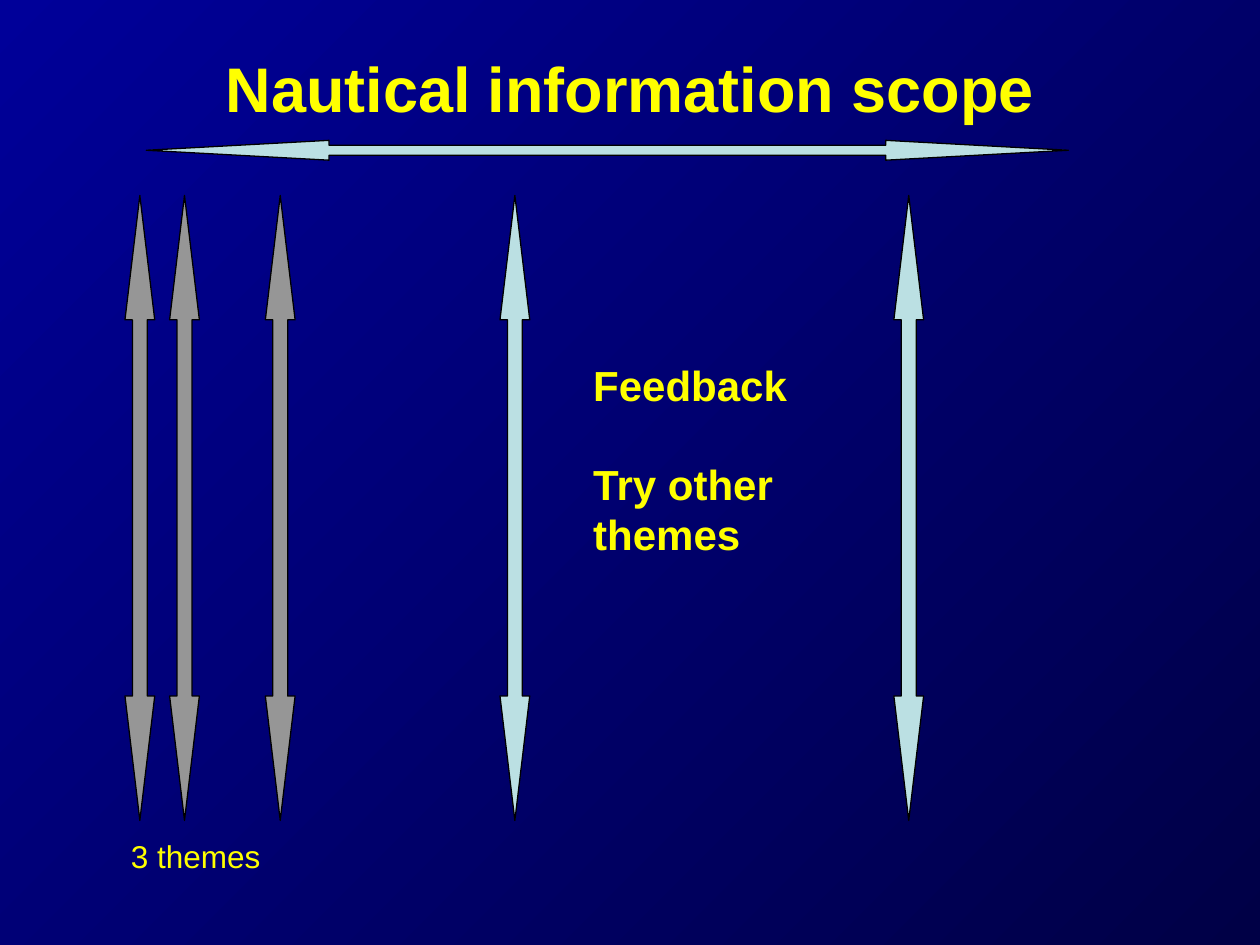
from lxml import etree
from pptx import Presentation
from pptx.dml.color import RGBColor
from pptx.enum.shapes import MSO_SHAPE
from pptx.enum.text import MSO_ANCHOR, MSO_AUTO_SIZE, PP_ALIGN
from pptx.oxml.ns import qn
from pptx.util import Cm, Pt

WIDE = MSO_SHAPE.LEFT_RIGHT_ARROW
TALL = MSO_SHAPE.UP_DOWN_ARROW
MIDDLE = MSO_ANCHOR.MIDDLE
CENTER = PP_ALIGN.CENTER
FIT = MSO_AUTO_SIZE.SHAPE_TO_FIT_TEXT
FIXED = MSO_AUTO_SIZE.NONE

YELLOW = "FFFF00"
PALE = "BBE0E3"
GREY = "969696"
BLACK = "000000"
NAVY = "000046"
BLUE = "000099"


def color(code):
    return RGBColor.from_string(code)


def paint(slide):
    fill = slide.background.fill
    fill.gradient()
    fill.gradient_angle = 135
    for stop, code in zip(fill.gradient_stops, (NAVY, BLUE)):
        stop.color.rgb = color(code)


def write(frame, text, size, bold):
    frame.word_wrap = True
    frame.text = text
    line = frame.paragraphs[0]
    line.font.name = "Arial"
    line.font.size = Pt(size)
    line.font.bold = bold
    line.font.color.rgb = color(YELLOW)
    return line


def head(slide, text):
    title = slide.shapes.title
    title.left, title.top = Cm(1.27), Cm(0.48)
    title.width, title.height = Cm(22.86), Cm(2.57)
    frame = title.text_frame
    frame.auto_size = FIXED
    frame.vertical_anchor = MIDDLE
    write(frame, text, 36, True).alignment = CENTER


def label(slide, text, box, size, bold):
    frame = slide.shapes.add_textbox(*map(Cm, box)).text_frame
    frame.auto_size = FIT
    write(frame, text, size, bold)


def adjust(shape, shaft, tip):
    guides = next(shape.element.iter(qn("a:avLst")))
    for guide in list(guides):
        guides.remove(guide)
    for name, value in (("adj1", shaft), ("adj2", tip)):
        ratio = round(value * 100000)
        etree.SubElement(guides, qn("a:gd"), name=name, fmla=f"val {ratio}")


def arrow(slide, kind, box, tip, code):
    shape = slide.shapes.add_shape(kind, *map(Cm, box))
    adjust(shape, 0.5, tip)
    shape.shadow.inherit = False
    shape.fill.solid()
    shape.fill.fore_color.rgb = color(code)
    shape.line.color.rgb = color(BLACK)
    shape.line.width = Pt(0.75)


def main():
    deck = Presentation()
    deck.slide_width, deck.slide_height = Cm(25.4), Cm(19.05)
    slide = deck.slides.add_slide(deck.slide_layouts[5])
    paint(slide)
    head(slide, "Nautical information scope")

    arrow(slide, WIDE, (2.95, 2.83, 18.59, 0.4), 9.21, PALE)
    themes = [(2.52, GREY), (3.42, GREY), (5.35, GREY), (10.08, PALE), (18.02, PALE)]
    for left, code in themes:
        arrow(slide, TALL, (left, 3.94, 0.6, 12.6), 4.18, code)

    label(slide, "3 themes", (2.39, 16.74, 3.61, 1.02), 18, False)
    label(slide, "Feedback", (11.71, 7.13, 5.21, 1.27), 24, True)
    label(slide, "Try other themes", (11.71, 9.12, 5.21, 2.29), 24, True)
    deck.save("out.pptx")


if __name__ == "__main__":
    main()
